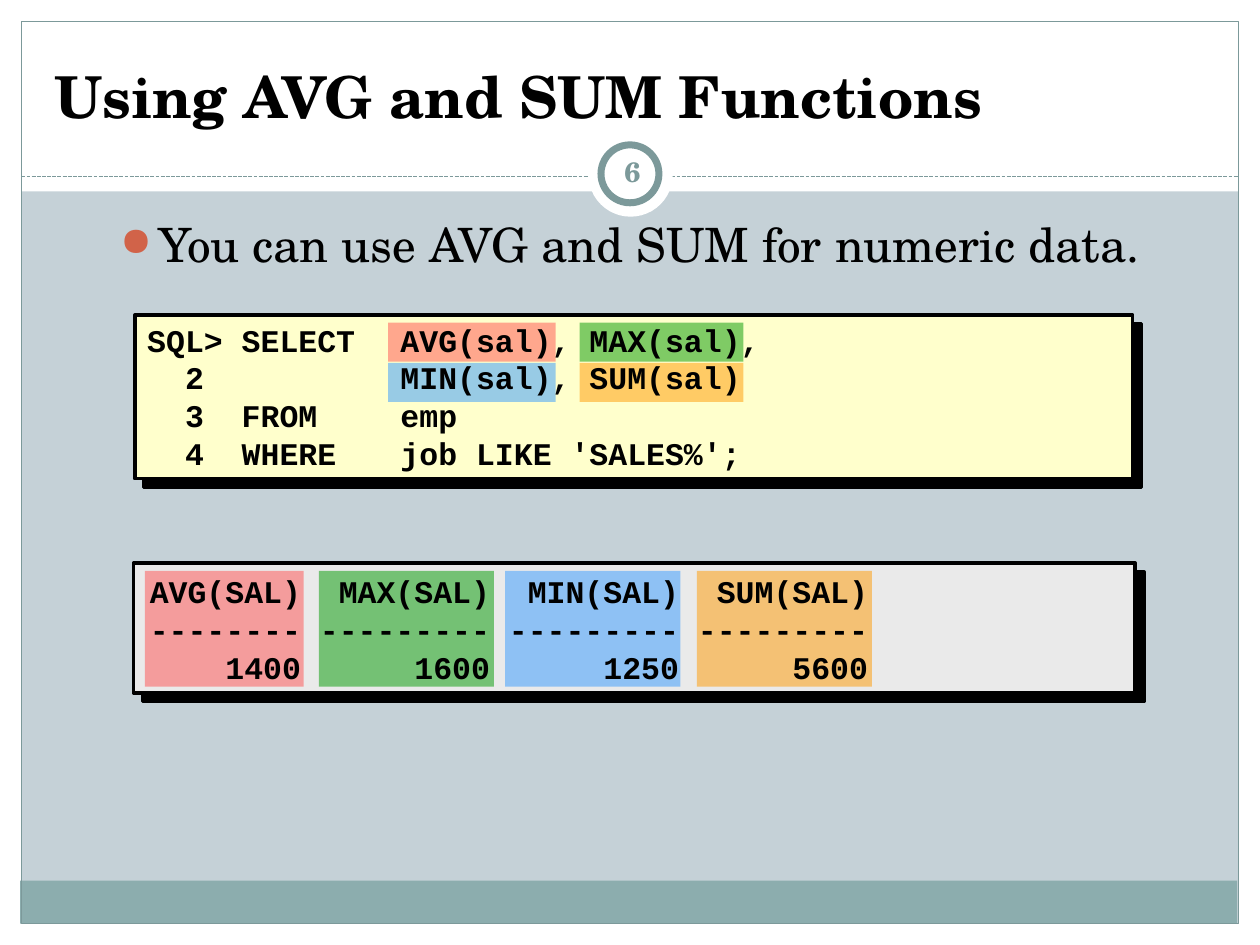
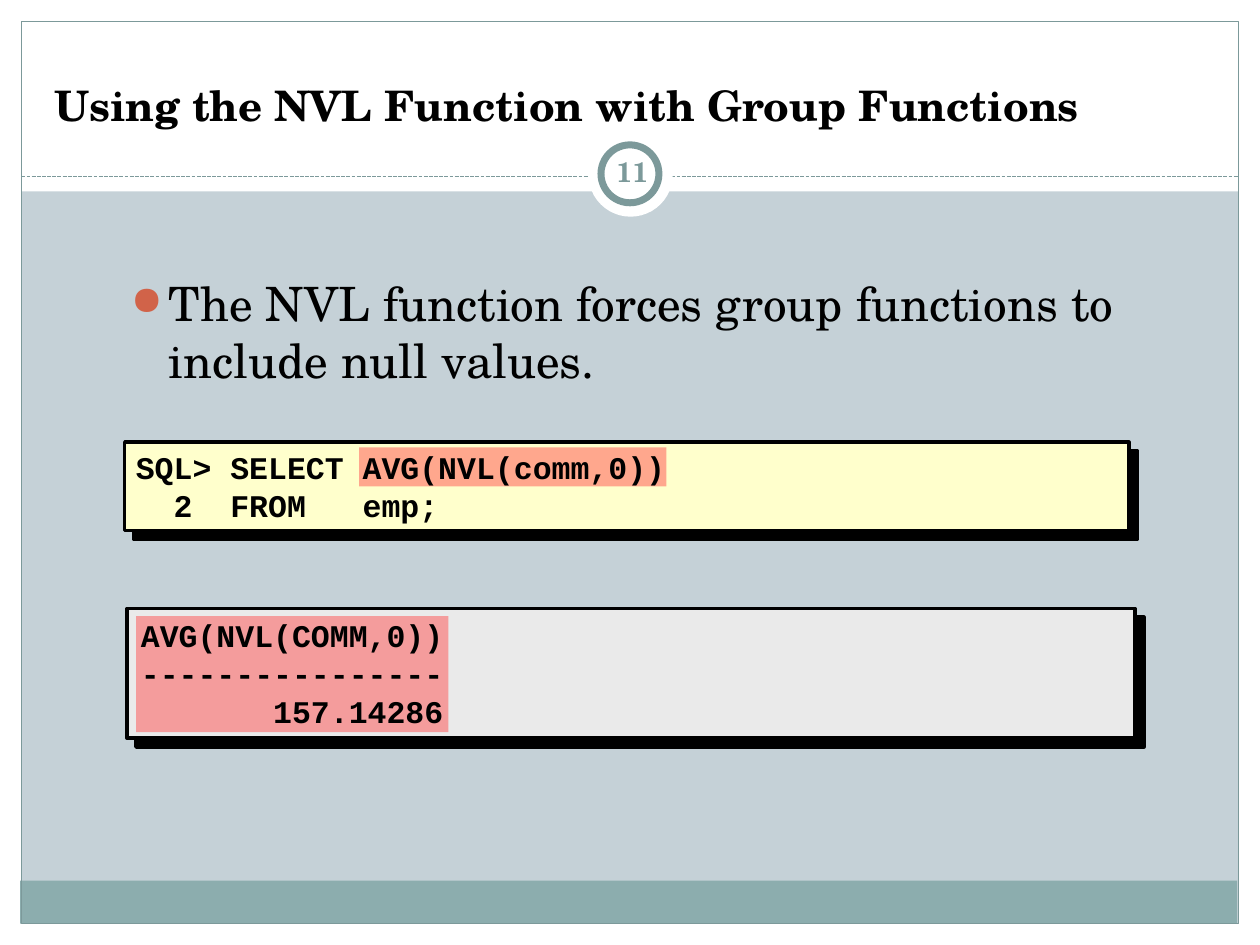
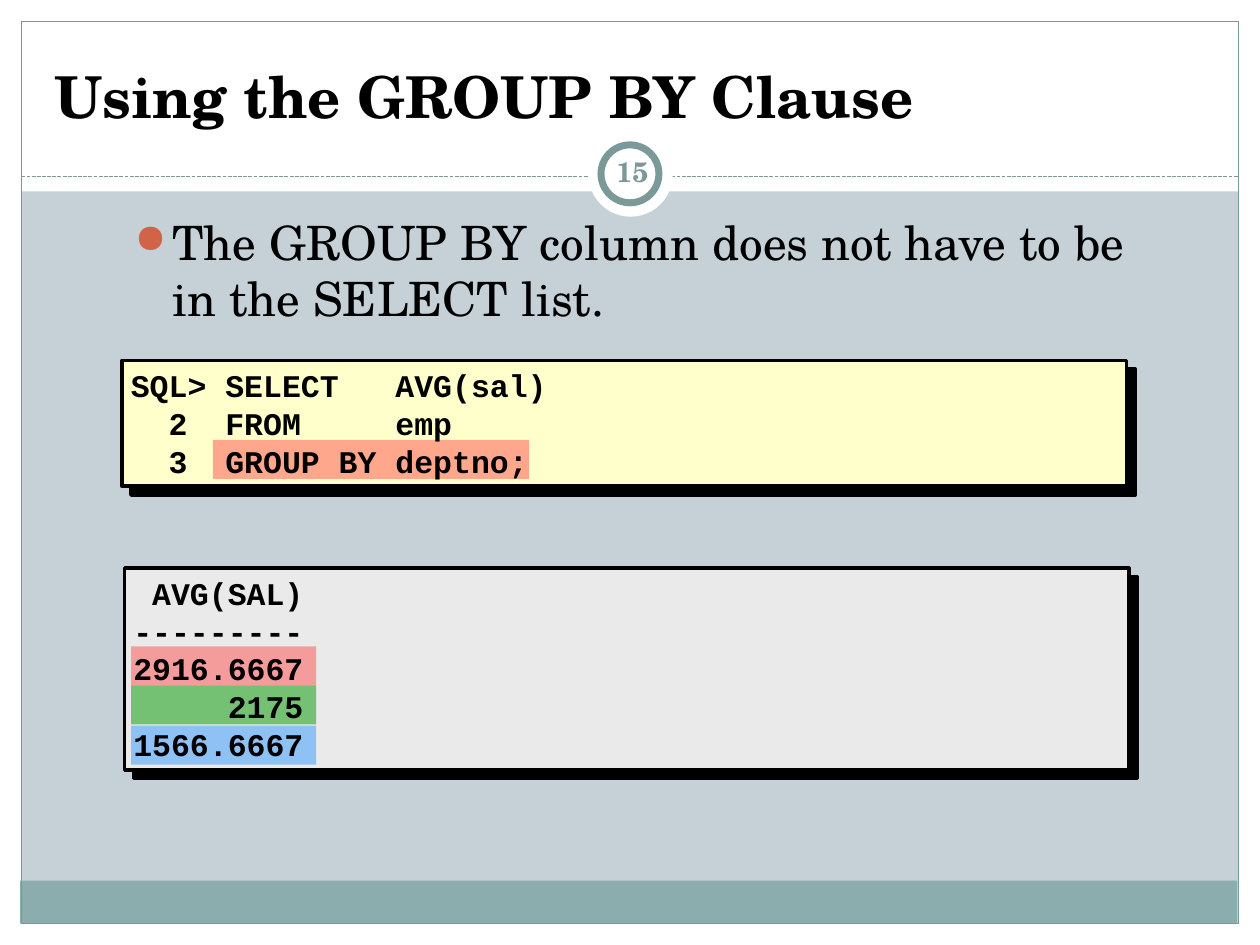
import pptx
import pptx.util
import pptx.dml.color
import pptx.enum.dml
import pptx.enum.shapes
import pptx.enum.text
import pptx.oxml
import pptx.oxml.ns
import lxml.etree

Inches = pptx.util.Inches
Pt = pptx.util.Pt
Shape = pptx.enum.shapes.MSO_SHAPE
Anchor = pptx.enum.text.MSO_ANCHOR
Align = pptx.enum.text.PP_ALIGN
qn = pptx.oxml.ns.qn
NAMESPACE = pptx.oxml.ns.nsdecls("a")

COLOURS = {
    "background": "C5D1D7", "white": "FFFFFF", "black": "000000",
    "footer": "8CADAE", "frame": "7C999A", "bullet": "D16349",
    "code": "FFFFCC", "result": "EAEAEA",
    "red": "FF5050", "green": "009900", "blue": "3399FF", "orange": "FF9900",
}
SERIF = "TeX Gyre Schola"
MONO = "Courier New"
CODE_TABS = (0.75, 2.01)


def add_box(slide, at, fill=None, line=None, width=0.75, kind=Shape.RECTANGLE, alpha=None, hard_shadow=False):
    shape = slide.shapes.add_shape(kind, *map(Inches, at))
    shape.shadow.inherit = False
    if fill:
        shape.fill.solid()
        shape.fill.fore_color.rgb = pptx.dml.color.RGBColor.from_string(COLOURS[fill])
    else:
        shape.fill.background()
    if line:
        shape.line.color.rgb = pptx.dml.color.RGBColor.from_string(COLOURS[line])
        shape.line.width = Pt(width)
    else:
        shape.line.fill.background()
    if alpha:
        colour = shape._element.spPr.find(qn("a:solidFill"))[0]
        lxml.etree.SubElement(colour, qn("a:alpha"), val=str(alpha * 1000))
    if hard_shadow:
        shape._element.spPr.find(qn("a:effectLst")).append(pptx.oxml.parse_xml(
            f'<a:outerShdw {NAMESPACE} dist="{Pt(7.1)}" dir="2700000" algn="ctr" rotWithShape="0">'
            f'<a:srgbClr val="{COLOURS["black"]}"/></a:outerShdw>'))
    return shape


def write_text(shape, text, size, font=SERIF, colour="black", bold=False, align=Align.LEFT,
               anchor=Anchor.TOP, margin=0.1, bullet=False, tabs=()):
    frame = shape.text_frame
    frame.word_wrap = True
    frame.auto_size = pptx.enum.text.MSO_AUTO_SIZE.NONE
    frame.vertical_anchor = anchor
    frame.margin_left = frame.margin_right = Inches(margin)
    frame.margin_top = frame.margin_bottom = Inches(0.05)
    for index, line in enumerate(text.split("\n")):
        paragraph = frame.paragraphs[0] if index == 0 else frame.add_paragraph()
        paragraph.alignment = align
        properties = paragraph._p.get_or_add_pPr()
        if bullet:
            properties.set("marL", str(Inches(0.3)))
            properties.set("indent", str(-Inches(0.3)))
            for element in (f'<a:buClr {NAMESPACE}><a:srgbClr val="{COLOURS["bullet"]}"/></a:buClr>',
                            f'<a:buSzPct {NAMESPACE} val="85000"/>',
                            f'<a:buChar {NAMESPACE} char="●"/>'):
                properties.append(pptx.oxml.parse_xml(element))
        if tabs:
            tab_list = lxml.etree.SubElement(properties, qn("a:tabLst"))
            for position in tabs:
                lxml.etree.SubElement(tab_list, qn("a:tab"), pos=str(Inches(position)), algn="l")
        run = paragraph.add_run()
        run.text = line
        run.font.name = font
        run.font.size = Pt(size)
        run.font.bold = bold
        run.font.color.rgb = pptx.dml.color.RGBColor.from_string(COLOURS[colour])


SLIDES = [
    {
        "number": "6", "title": "Using AVG and SUM Functions", "title_size": 33,
        "body": "You can use AVG and SUM for numeric data.",
        "body_at": (0, 1.66, 10, 0.55), "body_align": Align.CENTER,
        "panels": [
            ("result", (1.06, 4.47, 7.95, 1.03), (1.09, 4.49, 7.92, 1), Anchor.TOP,
             "AVG(SAL)  MAX(SAL)  MIN(SAL)  SUM(SAL)\n"
             "-------- --------- --------- ---------\n"
             "    1400      1600      1250      5600"),
            ("code", (1.07, 2.5, 7.92, 1.3), (1.07, 2.48, 7.95, 1.33), Anchor.MIDDLE,
             "SQL> SELECT\tAVG(sal), MAX(sal),\n"
             "  2\t\tMIN(sal), SUM(sal)\n"
             "  3\tFROM\temp\n"
             "  4\tWHERE\tjob LIKE 'SALES%';"),
        ],
        "highlights": [
            ("red", (3.08, 2.56, 1.33, 0.31)), ("red", (1.15, 4.53, 1.26, 0.92)),
            ("green", (4.6, 2.56, 1.3, 0.31)), ("green", (2.53, 4.53, 1.39, 0.92)),
            ("blue", (3.08, 2.88, 1.33, 0.31)), ("blue", (4.01, 4.53, 1.39, 0.92)),
            ("orange", (4.6, 2.88, 1.3, 0.31)), ("orange", (5.53, 4.53, 1.39, 0.92)),
        ],
    },
    {
        "number": "11", "title": "Using the NVL Function with Group Functions", "title_size": 24,
        "body": "The NVL function forces group functions to include null values.",
        "body_at": (0.94, 2.13, 8.08, 0.99), "body_align": Align.LEFT,
        "panels": [
            ("code", (0.99, 3.51, 7.97, 0.7), (0.98, 3.49, 8, 0.73), Anchor.MIDDLE,
             "SQL> SELECT AVG(NVL(comm,0))\n"
             "  2  FROM   emp;"),
            ("result", (1.01, 4.83, 8, 1.03), (1.02, 4.84, 7.97, 1), Anchor.TOP,
             "AVG(NVL(COMM,0))\n"
             "----------------\n"
             "       157.14286"),
        ],
        "highlights": [("red", (1.08, 4.89, 2.48, 0.92)), ("red", (2.85, 3.55, 2.44, 0.31))],
    },
    {
        "number": "15", "title": "Using the GROUP BY Clause", "title_size": 33,
        "body": "The GROUP BY column does not have to be in the SELECT list.",
        "body_at": (0.97, 1.64, 8.29, 0.99), "body_align": Align.LEFT,
        "panels": [
            ("code", (0.97, 2.86, 7.97, 1), (0.94, 2.84, 8, 1.03), Anchor.MIDDLE,
             "SQL> SELECT   AVG(sal)\n"
             "  2  FROM     emp\n"
             "  3  GROUP BY deptno;"),
            ("result", (0.99, 4.51, 7.97, 1.6), (0.96, 4.49, 8, 1.63), Anchor.MIDDLE,
             " AVG(SAL)\n"
             "---------\n"
             "2916.6667\n"
             "     2175\n"
             "1566.6667"),
        ],
        "highlights": [
            ("red", (1.69, 3.49, 2.51, 0.31)), ("red", (1.04, 5.13, 1.47, 0.31)),
            ("green", (1.04, 5.44, 1.47, 0.31)), ("blue", (1.04, 5.76, 1.47, 0.31)),
        ],
    },
]

presentation = pptx.Presentation()
presentation.slide_width = Inches(10)
presentation.slide_height = Inches(7.5)
background = presentation.slide_master.background.fill
background.solid()
background.fore_color.rgb = pptx.dml.color.RGBColor.from_string(COLOURS["background"])

layout = presentation.slide_layouts.get_by_name("Title Only")
for placeholder in list(layout.placeholders)[1:]:
    placeholder._element.getparent().remove(placeholder._element)

slides = [presentation.slides.add_slide(layout) for content in SLIDES]

decorations = [add_box(slides[0], at, "white") for at in (
    (0, 7.33, 10, 0.17), (0, 0, 10, 1.52), (0, 0, 0.17, 7.5), (9.83, 0, 0.17, 7.5))]
decorations.append(add_box(slides[0], (0.16, 6.99, 9.66, 0.34), "footer"))
decorations.append(add_box(slides[0], (0.17, 0.17, 9.66, 7.16), line="frame"))
divider = slides[0].shapes.add_connector(
    pptx.enum.shapes.MSO_CONNECTOR.STRAIGHT, Inches(0.17), Inches(1.4), Inches(9.83), Inches(1.4))
divider.line.color.rgb = pptx.dml.color.RGBColor.from_string(COLOURS["frame"])
divider.line.width = Pt(0.75)
divider.line.dash_style = pptx.enum.dml.MSO_LINE.SQUARE_DOT
lxml.etree.SubElement(divider._element.spPr, qn("a:effectLst"))
decorations.append(divider)
decorations.append(add_box(slides[0], (4.67, 1.05, 0.67, 0.67), "white", kind=Shape.OVAL))
decorations.append(add_box(slides[0], (4.77, 1.15, 0.46, 0.46), "white", "frame", 4, Shape.OVAL))
for decoration in decorations:
    layout.shapes._spTree.append(decoration._element)

for slide, content in zip(slides, SLIDES):
    title = slide.shapes.title
    title.left, title.top, title.width, title.height = map(Inches, (0.33, 0.25, 9.33, 0.83))
    write_text(title, content["title"], size=content["title_size"], bold=True, anchor=Anchor.BOTTOM)

    for fill, panel_at, *_ in content["panels"]:
        add_box(slide, panel_at, fill, "black", 2, hard_shadow=True)
    for colour, highlight_at in content["highlights"]:
        add_box(slide, highlight_at, colour, alpha=50)

    body = slide.shapes.add_textbox(*map(Inches, content["body_at"]))
    write_text(body, content["body"], size=27, align=content["body_align"], bullet=True)

    for _, _, text_at, anchor, text in content["panels"]:
        listing = slide.shapes.add_textbox(*map(Inches, text_at))
        write_text(listing, text, size=18, font=MONO, bold=True, anchor=anchor, tabs=CODE_TABS)

    number = slide.shapes.add_textbox(*map(Inches, (4.77, 1.12, 0.5, 0.48)))
    write_text(number, content["number"], size=16, colour="frame", bold=True,
               align=Align.CENTER, anchor=Anchor.MIDDLE, margin=0.05)

presentation.save("out.pptx")
